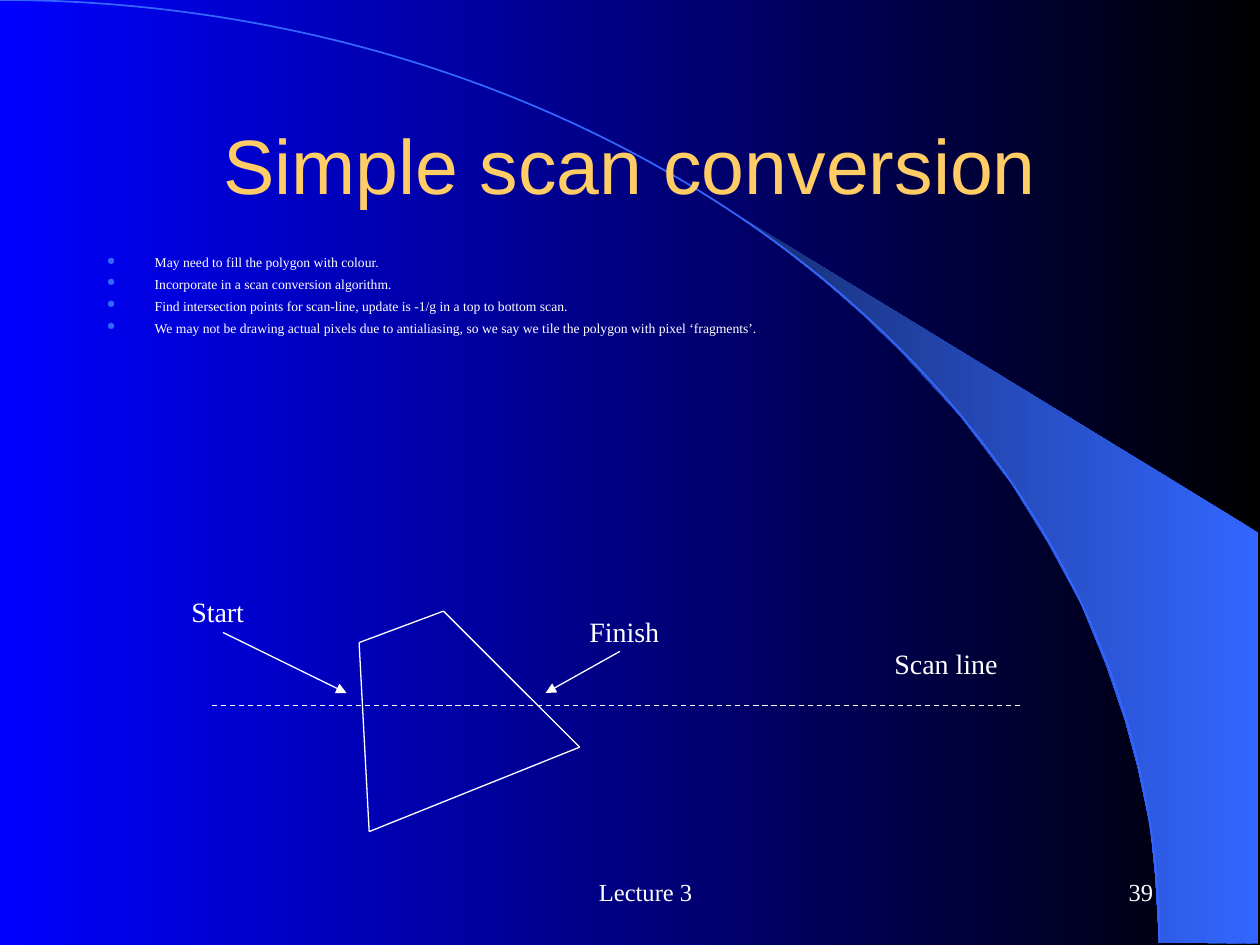
from itertools import pairwise

from lxml import etree
from pptx import Presentation
from pptx.dml.color import RGBColor
from pptx.enum.dml import MSO_LINE
from pptx.enum.shapes import MSO_CONNECTOR, MSO_SHAPE
from pptx.enum.text import MSO_ANCHOR, MSO_AUTO_SIZE, PP_ALIGN
from pptx.oxml.ns import qn
from pptx.util import Inches, Pt

BLACK = RGBColor(0x00, 0x00, 0x00)
BLUE = RGBColor(0x00, 0x00, 0xFF)
SKY = RGBColor(0x33, 0x66, 0xFF)
NAVY = RGBColor(0x17, 0x2F, 0x75)
GOLD = RGBColor(0xFF, 0xCC, 0x66)
WHITE = RGBColor(0xFF, 0xFF, 0xFF)
SANS, SERIF = "Arial", "Times New Roman"
LEFT, CENTER, RIGHT = PP_ALIGN.LEFT, PP_ALIGN.CENTER, PP_ALIGN.RIGHT
TOP, MIDDLE = MSO_ANCHOR.TOP, MSO_ANCHOR.MIDDLE
STRAIGHT, ARC, DASH = MSO_CONNECTOR.STRAIGHT, MSO_SHAPE.ARC, MSO_LINE.DASH
GROW = MSO_AUTO_SIZE.SHAPE_TO_FIT_TEXT


class LectureSlide:
    def __init__(self, slide):
        self.slide = slide
        self.shapes = slide.shapes

    def gradient(self, fill, start, end):
        fill.gradient()
        fill.gradient_angle = 180
        for stop, color in zip(fill.gradient_stops, (start, end)):
            stop.color.rgb = color

    def background(self, start, end):
        self.gradient(self.slide.background.fill, start, end)

    def beam(self, points, start, end):
        corners = [(Inches(x), Inches(y)) for x, y in points]
        builder = self.shapes.build_freeform(*corners[0])
        builder.add_line_segments(corners[1:], close=True)
        beam = builder.convert_to_shape()
        beam.shadow.inherit = False
        beam.line.fill.background()
        self.gradient(beam.fill, start, end)

    def arc(self, left, top, width, height):
        arc = self.shapes.add_shape(ARC, *map(Inches, (left, top, width, height)))
        arc.shadow.inherit = False
        arc.fill.background()
        arc.line.color.rgb = SKY
        arc.line.width = Pt(1)

    def line(self, start, end, dashed=False, arrow=False):
        line = self.shapes.add_connector(STRAIGHT, *map(Inches, (*start, *end)))
        line.line.color.rgb = WHITE
        line.line.width = Pt(0.75)
        if dashed:
            line.line.dash_style = DASH
        properties = line._element.spPr
        if arrow:
            etree.SubElement(properties.find(qn("a:ln")), qn("a:tailEnd"), type="triangle")
        etree.SubElement(properties, qn("a:effectLst"))

    def style(self, paragraph, size, font=SERIF, color=WHITE):
        paragraph.font.size = Pt(size)
        paragraph.font.name = font
        paragraph.font.color.rgb = color

    def text(self, box, line, size, font=SERIF, color=WHITE, align=LEFT,
             anchor=TOP, wrap=True, margin=0):
        frame = self.shapes.add_textbox(*map(Inches, box)).text_frame
        frame.word_wrap = wrap
        if not wrap:
            frame.auto_size = GROW
        frame.vertical_anchor = anchor
        paragraph = frame.paragraphs[0]
        paragraph.text = line
        paragraph.alignment = align
        if margin:
            paragraph._p.get_or_add_pPr().set("marL", str(Inches(margin)))
        self.style(paragraph, size, font, color)

    def bullets(self, box, lines, size):
        frame = self.shapes.add_textbox(*map(Inches, box)).text_frame
        frame.word_wrap = True
        for index, line in enumerate(lines):
            paragraph = frame.add_paragraph() if index else frame.paragraphs[0]
            paragraph.text = line
            paragraph.line_spacing = 0.7
            paragraph.space_before = Pt(6 if index else 0)
            properties = paragraph._p.get_or_add_pPr()
            properties.set("marL", str(Inches(0.38)))
            properties.set("indent", str(-Inches(0.38)))
            bullet_color = etree.SubElement(properties, qn("a:buClr"))
            etree.SubElement(bullet_color, qn("a:srgbClr"), val=str(SKY))
            etree.SubElement(properties, qn("a:buSzPct"), val="80000")
            etree.SubElement(properties, qn("a:buChar"), char="●")
            self.style(paragraph, size)


def main():
    deck = Presentation()
    deck.slide_width, deck.slide_height = Inches(10), Inches(7.5)
    page = LectureSlide(deck.slides.add_slide(deck.slide_layouts[6]))

    page.background(BLACK, BLUE)
    page.beam([
        (9.2, 7.48), (9.99, 7.49), (9.99, 4.23), (5.89, 1.73), (6.24, 1.99),
        (6.53, 2.22), (6.85, 2.5), (7.16, 2.8), (7.62, 3.3), (8.03, 3.84),
        (8.32, 4.31), (8.58, 4.79), (8.78, 5.28), (8.93, 5.72), (9.03, 6.09),
        (9.13, 6.56), (9.17, 6.96),
    ], SKY, NAVY)
    page.arc(-9.2, 0, 18.4, 14.97)

    page.text((0.75, 0.67, 8.5, 1.25), "Simple scan conversion", 44,
              SANS, GOLD, CENTER, MIDDLE)
    page.bullets((0.75, 2, 8.5, 0.77), [
        "May need to fill the polygon with colour.",
        "Incorporate in a scan conversion algorithm.",
        "Find intersection points for scan-line, update is -1/g in a top to bottom scan.",
        "We may not be drawing actual pixels due to antialiasing, "
        "so we say we tile the polygon with pixel ‘fragments’.",
    ], 7.8)

    polygon = [(2.85, 5.1), (2.93, 6.6), (4.6, 5.93), (3.52, 4.85)]
    for start, end in pairwise(polygon + polygon[:1]):
        page.line(start, end)
    page.line((1.68, 5.6), (8.1, 5.6), dashed=True)
    page.line((4.92, 5.17), (4.33, 5.5), arrow=True)
    page.line((1.77, 5.02), (2.75, 5.5), arrow=True)

    for label, left, top, width in [
        ("Finish", 4.58, 4.83, 0.77),
        ("Start", 1.42, 4.67, 0.62),
        ("Scan line", 7, 5.08, 1.02),
    ]:
        page.text((left, top, width, 0.37), label, 16, wrap=False)

    for label, left, width, align in [
        ("Lecture 3", 3.42, 3.17, CENTER),
        ("39", 7.17, 2.08, RIGHT),
    ]:
        page.text((left, 6.83, width, 0.5), label, 14,
                  align=align, anchor=MIDDLE, margin=0.24)

    deck.save("out.pptx")


if __name__ == "__main__":
    main()
